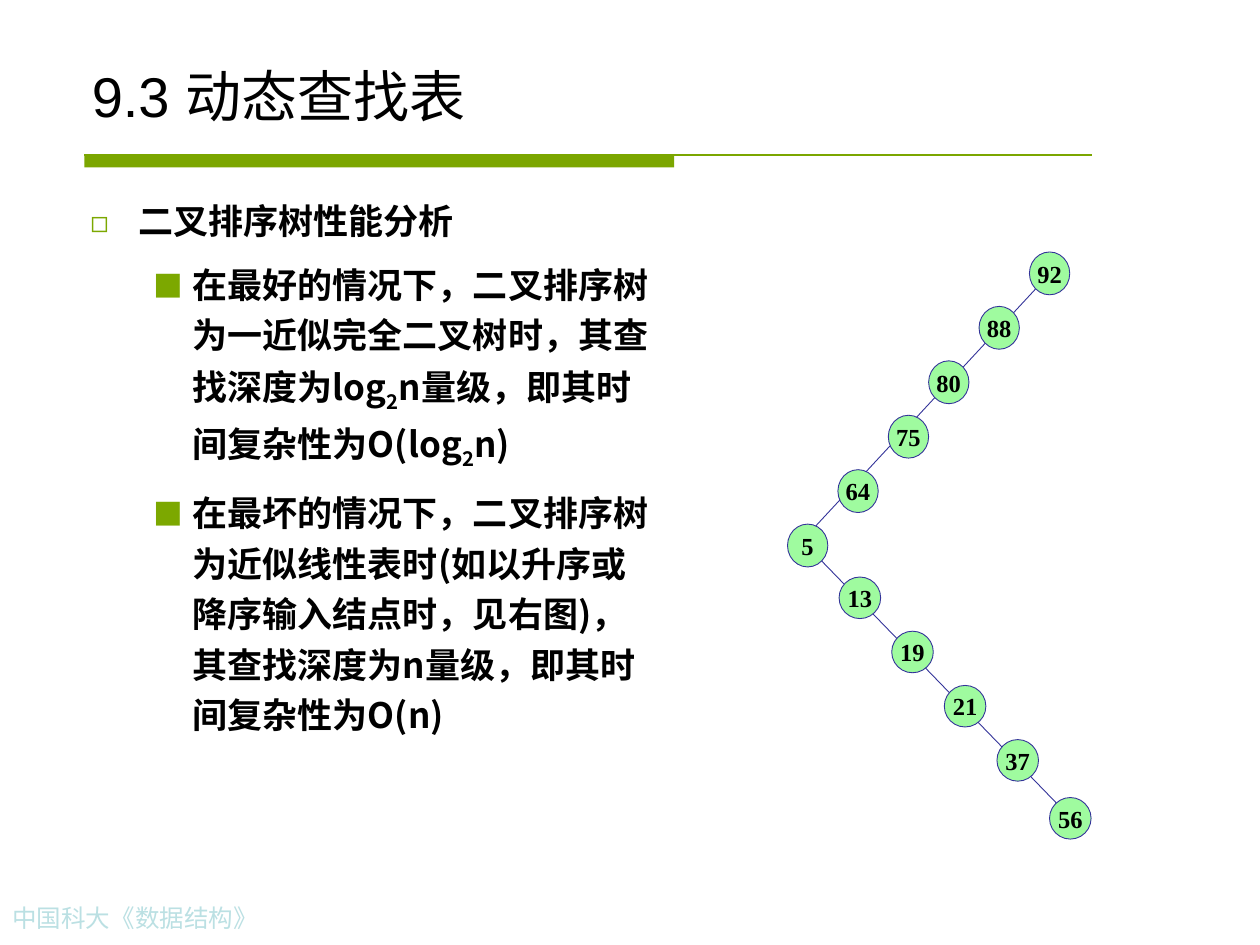
from lxml import etree
from pptx import Presentation
from pptx.dml.color import RGBColor as RGB
from pptx.enum.shapes import MSO_CONNECTOR as CONN, MSO_SHAPE as SHAPE
from pptx.enum.text import MSO_ANCHOR as ANCHOR, PP_ALIGN as ALIGN
from pptx.oxml.ns import qn
from pptx.util import Inches, Pt

COLORS = {"bar": "7BA600", "bullet": "7CA800", "footer": "BBE0E3",
          "text": "000000", "node": "9FFB9F", "edge": "333399"}
CJK = "Noto Sans CJK SC"
FORMATS = {
    "title": {"size": Pt(32), "name": "Arial"},
    "body": {"size": Pt(20), "name": CJK, "bold": True},
    "footer": {"size": Pt(14), "name": "Times New Roman"},
    "node": {"size": Pt(14), "name": "Times New Roman", "bold": True},
}
LEVELS = [
    {"bullet": "◻", "margin": 0.38, "indent": -0.38, "before": 5},
    {"bullet": "■", "margin": 0.81, "indent": -0.31, "before": 7.5},
]
BODY = [
    (0, ["二叉排序树性能分析"]),
    (1, ["在最好的情况下，二叉排序树为一近似完全二叉树时，其查找深度为log", "2",
         "n量级，即其时间复杂性为O(log", "2", "n)"]),
    (1, ["在最坏的情况下，二叉排序树为近似线性表时(如以升序或降序输入结点时，"
         "见右图)，其查找深度为n量级，即其时间复杂性为O(n)"]),
]
UPPER = [("92", 1.92), ("88", 1.52), ("80", 1.12), ("75", 0.8), ("64", 0.4), ("5", 0)]
LOWER = [("13", 2.58), ("19", 3.01), ("21", 3.44), ("37", 3.87), ("56", 4.33)]


def add_run(p, text, style, color="text"):
    r = p.add_run()
    r.text = text
    for key, value in FORMATS[style].items():
        setattr(r.font, key, value)
    r.font.color.rgb = RGB.from_string(COLORS[color])
    etree.SubElement(r._r.get_or_add_rPr(), qn("a:ea"), typeface=CJK)
    return r


def add_box(s, box):
    tf = s.shapes.add_textbox(*map(Inches, box)).text_frame
    tf.word_wrap = True
    return tf


def add_line(s, start, end, color, width):
    line = s.shapes.add_connector(CONN.STRAIGHT, *map(Inches, (*start, *end)))
    line.line.color.rgb = RGB.from_string(COLORS[color])
    line.line.width = Pt(width)
    etree.SubElement(line._element.spPr, qn("a:effectLst"))


def add_bullet(p, level):
    pPr = p._p.get_or_add_pPr()
    pPr.set("marL", str(Inches(level["margin"])))
    pPr.set("indent", str(Inches(level["indent"])))
    color = etree.SubElement(pPr, qn("a:buClr"))
    etree.SubElement(color, qn("a:srgbClr"), val=COLORS["bullet"])
    etree.SubElement(pPr, qn("a:buSzPct"), val="85000")
    etree.SubElement(pPr, qn("a:buFont"), typeface=CJK)
    etree.SubElement(pPr, qn("a:buChar"), char=level["bullet"])


def add_rule(s, box):
    x, y, w, h = box
    bar = s.shapes.add_shape(SHAPE.RECTANGLE, *map(Inches, (x, y, w * 0.585, h)))
    bar.shadow.inherit = False
    bar.fill.solid()
    bar.fill.fore_color.rgb = RGB.from_string(COLORS["bar"])
    bar.line.fill.background()
    add_line(s, (x, y), (x + w, y), "bar", 0.75)


def add_footer(s, box):
    add_run(add_box(s, box).paragraphs[0], "中国科大《数据结构》", "footer", "footer")


def add_title(s, box):
    tf = add_box(s, box)
    tf.vertical_anchor = ANCHOR.BOTTOM
    add_run(tf.paragraphs[0], "9.3 动态查找表", "title")


def add_body(s, box):
    tf = add_box(s, box)
    for i, (depth, parts) in enumerate(BODY):
        p = tf.add_paragraph() if i else tf.paragraphs[0]
        level = LEVELS[depth]
        add_bullet(p, level)
        p.level = depth
        p.line_spacing = 1.2
        if i:
            p.space_before = Pt(level["before"])
        for part in parts:
            r = add_run(p, part, "body")
            if part == "2":
                r._r.get_or_add_rPr().set("baseline", "-25000")


def add_node(s, text, box):
    node = s.shapes.add_shape(SHAPE.OVAL, *map(Inches, box))
    node.shadow.inherit = False
    node.fill.solid()
    node.fill.fore_color.rgb = RGB.from_string(COLORS["node"])
    node.line.color.rgb = RGB.from_string(COLORS["edge"])
    node.line.width = Pt(0.5)
    tf = node.text_frame
    tf.word_wrap = False
    tf.vertical_anchor = ANCHOR.MIDDLE
    p = tf.paragraphs[0]
    p.alignment = ALIGN.CENTER
    add_run(p, text, "node")


def add_tree(s, box):
    x, y, w, h = box
    add_line(s, (x + 2, y + 0.26), (x + 0.08, y + 2.33), "edge", 0.5)
    add_line(s, (x + 0.24, y + 2.42), (x + 2.15, y + 4.39), "edge", 0.5)
    step = (h - 2.5) / (len(UPPER) - 1)
    for i, (text, dx) in enumerate(UPPER):
        add_node(s, text, (x + dx, y + i * step, 0.32, 0.34))
    step = (w - 0.33 - 0.41) / (len(LOWER) - 1)
    for i, (text, dy) in enumerate(LOWER):
        add_node(s, text, (x + 0.41 + i * step, y + dy, 0.33, 0.33))


def main():
    prs = Presentation()
    prs.slide_width, prs.slide_height = Inches(10), Inches(7.5)
    s = prs.slides.add_slide(prs.slide_layouts[6])
    add_rule(s, (0.67, 1.23, 8, 0.1))
    add_footer(s, (0, 7.12, 3.11, 0.34))
    add_title(s, (0.63, 0.33, 8.75, 0.74))
    add_body(s, (0.62, 1.47, 4.63, 5.43))
    add_tree(s, (6.25, 2, 2.41, 4.66))
    prs.save("out.pptx")


if __name__ == "__main__":
    main()
